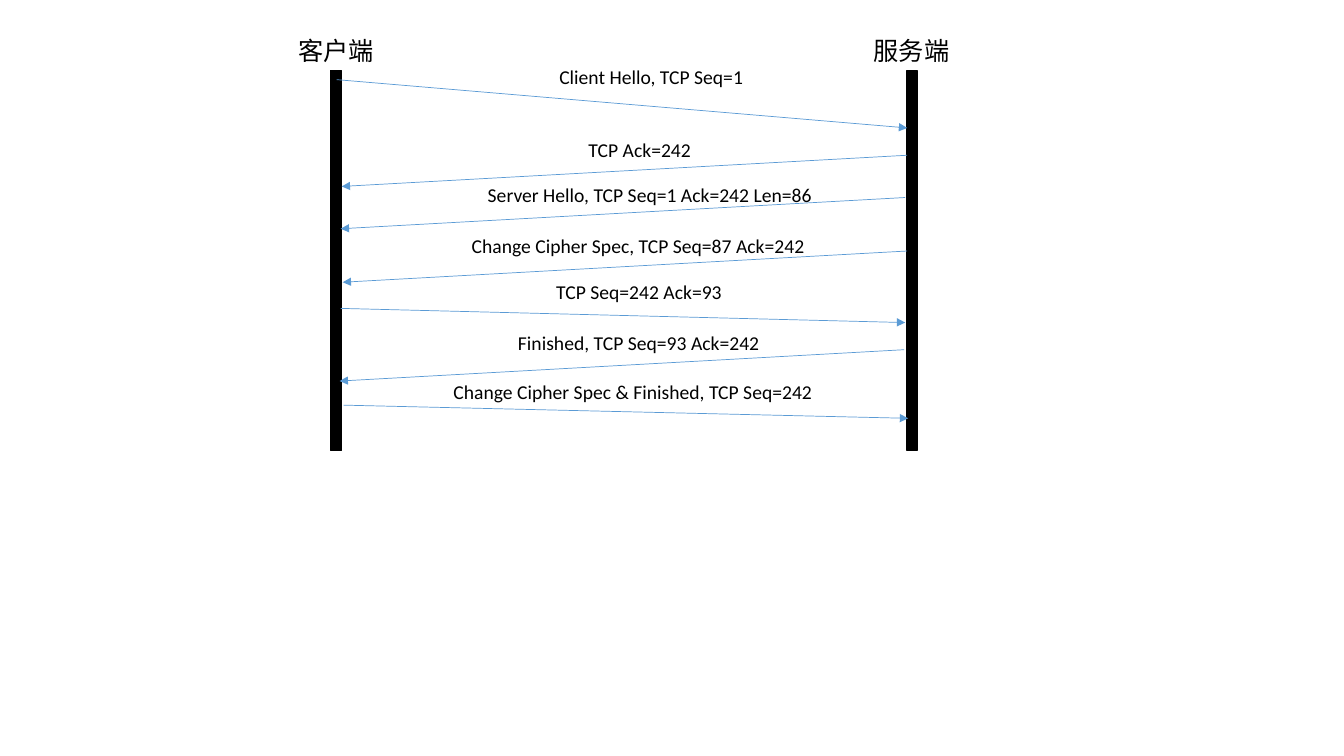
"""Draw the TLS handshake sequence between client and server."""
from lxml.etree import SubElement
from pptx import Presentation
from pptx.dml.color import RGBColor
from pptx.enum.shapes import MSO_CONNECTOR as Connector, MSO_SHAPE as Shape
from pptx.enum.text import MSO_AUTO_SIZE as AutoSize
from pptx.oxml.ns import qn
from pptx.util import Pt

BLACK, BLUE = "000000", "5B9BD5"


def color(value):
    return RGBColor.from_string(value)


def add_label(group, text, left, top, width, height, size):
    box = group.shapes.add_textbox(Pt(left), Pt(top), Pt(width), Pt(height))
    for name, value in {"word_wrap": False, "auto_size": AutoSize.SHAPE_TO_FIT_TEXT}.items():
        setattr(box.text_frame, name, value)
    span = box.text_frame.paragraphs[0].add_run()
    span.text = text
    for name, value in {"name": "Calibri", "size": Pt(size)}.items():
        setattr(span.font, name, value)
    span.font.color.rgb = color(BLACK)


deck = Presentation()
for name, value in {"slide_width": Pt(960), "slide_height": Pt(540)}.items():
    setattr(deck, name, value)
page = deck.slides.add_slide(deck.slide_layouts[6])
diagram = page.shapes.add_group_shape()

endpoints = [
    ("客户端", 236.2, 7.9, 205.9),
    ("服务端", 648, 7.2, 617),
]
for title, bar_left, bar_width, title_left in endpoints:
    bar = diagram.shapes.add_shape(
        Shape.RECTANGLE, Pt(bar_left), Pt(50.4), Pt(bar_width), Pt(271.4))
    bar.shadow.inherit = False
    bar.fill.solid()
    bar.fill.fore_color.rgb = color(BLACK)
    bar.line.color.rgb = color(BLACK)
    bar.line.width = Pt(1)
    add_label(diagram, title, title_left, 21.6, 69.1, 28.8, 18)

messages = [
    ("Client Hello, TCP Seq=1", (240.5, 56.9), (648, 91.4), (392.4, 42.5, 147.6)),
    ("TCP Ack=242", (648, 110.9), (244.1, 133.2), (413.3, 95, 88.6)),
    ("Server Hello, TCP Seq=1 Ack=242 Len=86",
     (646.6, 141.1), (243.4, 163.4), (341.3, 127.4, 248.4)),
    ("Change Cipher Spec, TCP Seq=87 Ack=242",
     (648, 179.3), (244.8, 201.6), (329.8, 163.4, 254.9)),
    ("TCP Seq=242 Ack=93", (243.4, 220.3), (646.6, 230.4), (390.2, 196.6, 133.9)),
    ("Finished, TCP Seq=93 Ack=242",
     (645.8, 249.8), (242.6, 272.2), (362.9, 232.6, 188.6)),
    ("Change Cipher Spec & Finished, TCP Seq=242",
     (245.5, 289.4), (648.7, 298.8), (316.8, 267.8, 280.8)),
]
for text, start, end, label_area in messages:
    arrow = diagram.shapes.add_connector(
        Connector.STRAIGHT, *[Pt(length) for length in start + end])
    arrow.line.color.rgb = color(BLUE)
    arrow.line.width = Pt(0.5)
    SubElement(arrow.line._get_or_add_ln(), qn("a:tailEnd"), type="triangle")
    SubElement(arrow._element.spPr, qn("a:effectLst"))
    add_label(diagram, text, *label_area, 24.5, 14)

deck.save("out.pptx")
